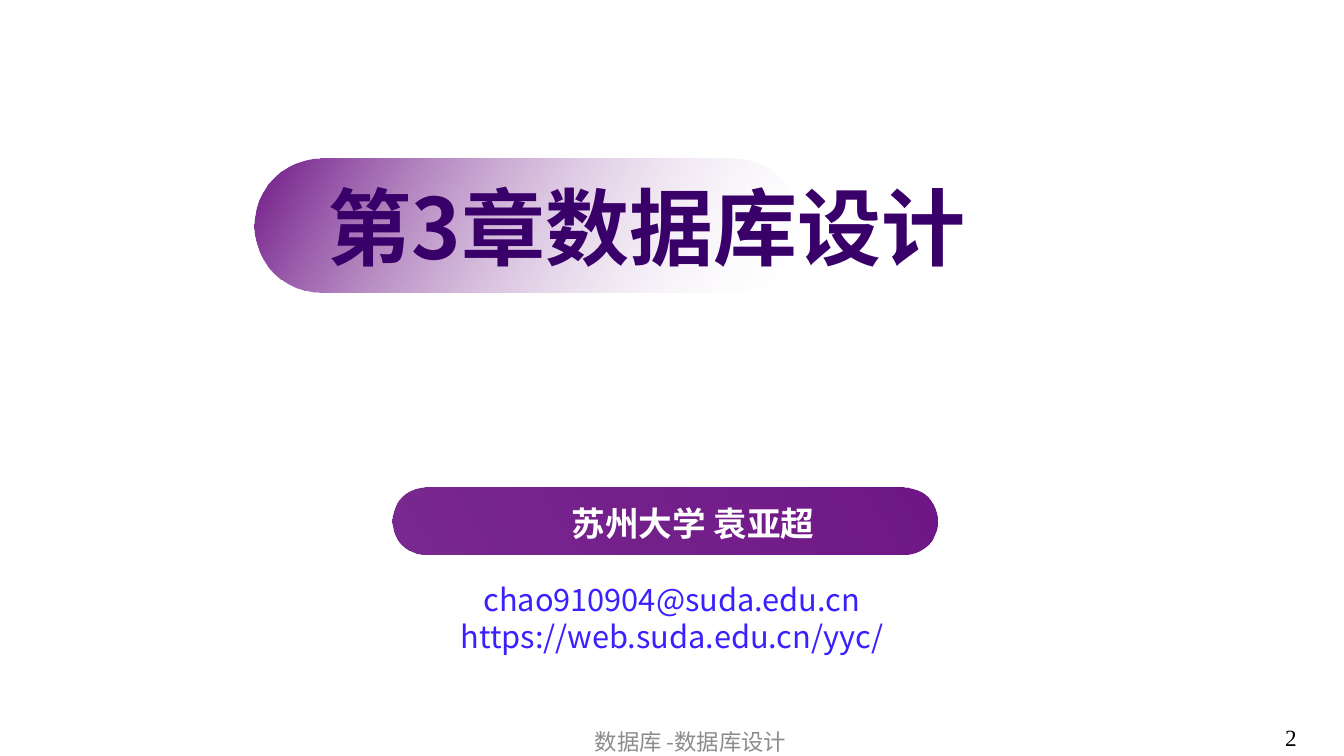
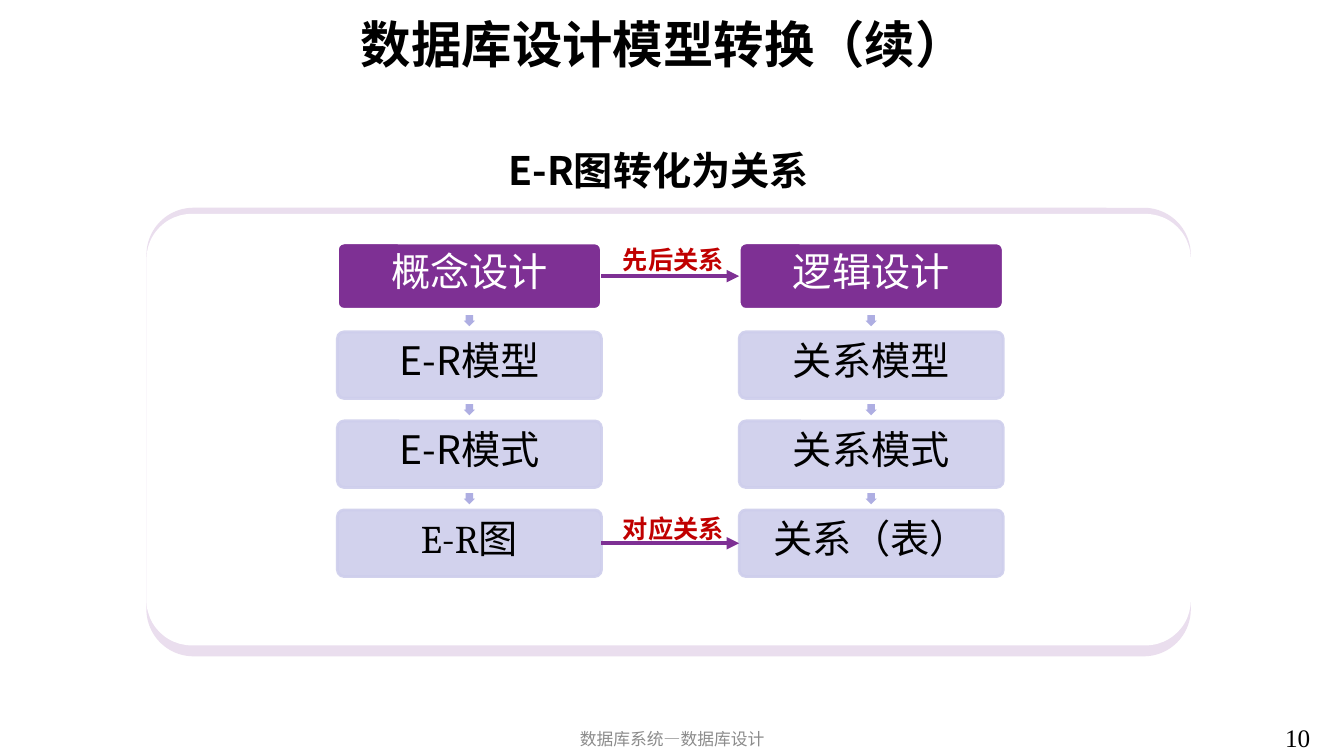
from dataclasses import dataclass

from lxml import etree
from pptx import Presentation
from pptx.dml.color import RGBColor
from pptx.enum.dml import MSO_FILL
from pptx.enum.shapes import MSO_CONNECTOR, MSO_SHAPE
from pptx.enum.text import MSO_ANCHOR, MSO_AUTO_SIZE, PP_ALIGN
from pptx.oxml.ns import qn
from pptx.util import Pt

ROUND = MSO_SHAPE.ROUNDED_RECTANGLE
DOWN = MSO_SHAPE.DOWN_ARROW
STRAIGHT = MSO_CONNECTOR.STRAIGHT
MIDDLE = MSO_ANCHOR.MIDDLE
FIXED = MSO_AUTO_SIZE.NONE
LEFT, CENTER, JUSTIFY = PP_ALIGN.LEFT, PP_ALIGN.CENTER, PP_ALIGN.JUSTIFY
SOLID = MSO_FILL.SOLID
LEFT_SITE, RIGHT_SITE = 1, 3


@dataclass(frozen=True)
class Theme:
    sans: str = "Noto Sans CJK SC"
    serif: str = "Cambria"
    roman: str = "Times New Roman"
    black: str = "000000"
    white: str = "FFFFFF"
    purple: str = "6F1787"
    violet: str = "7E3094"
    indigo: str = "3A006A"
    lilac: str = "CECEEC"
    arrow: str = "AEAEE2"
    link: str = "3B20FF"
    red: str = "C00000"
    gray: str = "8C8C8C"
    cover: float = 60
    title: float = 36
    head: float = 28
    name: float = 24
    mail: float = 22
    label: float = 18


T = Theme()


def rgb(code):
    return RGBColor.from_string(code)


def write(shape, text, size=T.head, color=T.black, font=T.sans, bold=False,
          align=CENTER, inset=(7.2, 3.6, 7.2, 3.6), space=None):
    frame = shape.text_frame
    frame.word_wrap = True
    frame.auto_size = FIXED
    frame.vertical_anchor = MIDDLE
    (frame.margin_left, frame.margin_top,
     frame.margin_right, frame.margin_bottom) = map(Pt, inset)
    for i, line in enumerate(text.split("\n")):
        para = frame.add_paragraph() if i else frame.paragraphs[0]
        para.alignment = align
        para.line_spacing = space
        run = para.add_run()
        run.text = line
        face = run.font
        face.name, face.size, face.bold = font, Pt(size), bold
        face.color.rgb = rgb(color)
        east = etree.SubElement(run._r.get_or_add_rPr(), qn("a:ea"))
        east.set("typeface", T.sans)


def label(slide, box, text, **style):
    write(slide.shapes.add_textbox(*map(Pt, box)), text, **style)


def title(slide, box, text, **style):
    shape = slide.shapes.title
    shape.left, shape.top, shape.width, shape.height = map(Pt, box)
    write(shape, text, bold=True, **style)


def fade(shape, *levels):
    for color, level in zip(shape.element.spPr.iter(qn("a:srgbClr")), levels):
        alpha = etree.SubElement(color, qn("a:alpha"))
        alpha.set("val", str(level * 1000))


def block(slide, kind, box, color=None, edge=None, adjust=()):
    shape = slide.shapes.add_shape(kind, *map(Pt, box))
    shape.shadow.inherit = False
    for i, value in enumerate(adjust):
        shape.adjustments[i] = value
    if color:
        shape.fill.solid()
        shape.fill.fore_color.rgb = rgb(color)
    if edge:
        shape.line.color.rgb = rgb(edge)
        shape.line.width = Pt(2)
    else:
        shape.line.fill.background()
    return shape


def pill(slide, box, last, angle, level):
    shape = block(slide, ROUND, box, adjust=[0.5])
    shape.fill.gradient()
    shape.fill.gradient_angle = angle
    for stop, color in zip(shape.fill.gradient_stops, (T.purple, last)):
        stop.color.rgb = rgb(color)
    fade(shape, 100, level)


def link(slide, start, end):
    line = slide.shapes.add_connector(STRAIGHT, 0, 0, 0, 0)
    line.begin_connect(start, RIGHT_SITE)
    line.end_connect(end, LEFT_SITE)
    line.line.color.rgb = rgb(T.violet)
    line.line.width = Pt(3)
    tip = etree.SubElement(line.line._get_or_add_ln(), qn("a:tailEnd"))
    tip.set("type", "triangle")
    etree.SubElement(line.element.spPr, qn("a:effectLst"))


def footer(slide, box, text, size, page, scale):
    label(slide, box, text, size=size, color=T.gray)
    label(slide, (910.8, 513.4, 49, 26.6), page,
          size=scale, font=T.roman, align=LEFT)


def column(slide, left, items):
    top, wide, high, pitch, tip = 173.5, 188.6, 47.5, 63.6, 8
    cells = []
    for row, (text, font) in enumerate(items):
        y = top + row * pitch
        fill, edge, ink = ((T.lilac, T.lilac, T.black) if row
                           else (T.violet, T.white, T.white))
        cell = block(slide, ROUND, (left, y, wide, high), fill, edge, [0.1])
        if row:
            fade(cell, 90, 90)
            x = left + (wide - tip) / 2
            mid = y - (pitch - high) / 2
            block(slide, DOWN, (x, mid - tip / 2, tip, tip),
                  T.arrow, adjust=[0.667, 0.5])
        write(cell, text, color=ink, font=font, inset=(3, 3, 3, 6), space=0.9)
        cells.append(cell)
    return cells


def cover(slide):
    pill(slide, (280, 348, 389.5, 48), T.purple, 210, 92)
    label(slide, (341.3, 355.7, 307.4, 36), "苏州大学 袁亚超",
          size=T.name, color=T.white, bold=True)
    pill(slide, (182, 113, 389.5, 96), T.white, 330, 0)
    slide.shapes._spTree.append(slide.shapes.title.element)
    title(slide, (226.8, 121, 525.6, 80), "第3章数据库设计",
          size=T.cover, color=T.indigo, align=JUSTIFY)
    label(slide, (242.6, 410, 474.5, 62),
          "chao910904@suda.edu.cn\nhttps://web.suda.edu.cn/yyc/",
          size=T.mail, color=T.link, space=Pt(26.4))
    footer(slide, (344.2, 519, 298, 21), "数据库 -数据库设计", 16, "2", 16.6)


def model(slide):
    card = block(slide, ROUND, (104.6, 148.4, 746, 320.4),
                 T.purple, adjust=[0.105])
    fade(card, 14)
    block(slide, ROUND, (104.6, 152.8, 746, 308.2), T.white, adjust=[0.105])
    title(slide, (85, 95, 771, 53.3), "E-R图转化为关系")
    first = column(slide, 241, [("概念设计", T.sans), ("E-R模型", T.sans),
                                ("E-R模式", T.sans), ("E-R图", T.serif)])
    last = column(slide, 528, [(text, T.sans) for text in (
        "逻辑设计", "关系模型", "关系模式", "关系（表）")])
    for row, top, text in ((0, 170.6, "先后关系"), (3, 363.2, "对应关系")):
        link(slide, first[row], last[row])
        label(slide, (437.8, top, 130.3, 29), text,
              size=T.label, color=T.red, bold=True, align=LEFT)
    footer(slide, (318.2, 515.5, 324, 24.5),
           "数据库系统—数据库设计", 12, "10", T.label)
    label(slide, (76.3, 4.3, 794.9, 53.3), "数据库设计模型转换（续）",
          size=T.title, bold=True)


def main():
    deck = Presentation()
    deck.slide_width, deck.slide_height = Pt(960), Pt(540)
    for draw in (cover, model):
        draw(deck.slides.add_slide(deck.slide_layouts[5]))
    deck.save("out.pptx")


if __name__ == "__main__":
    main()
